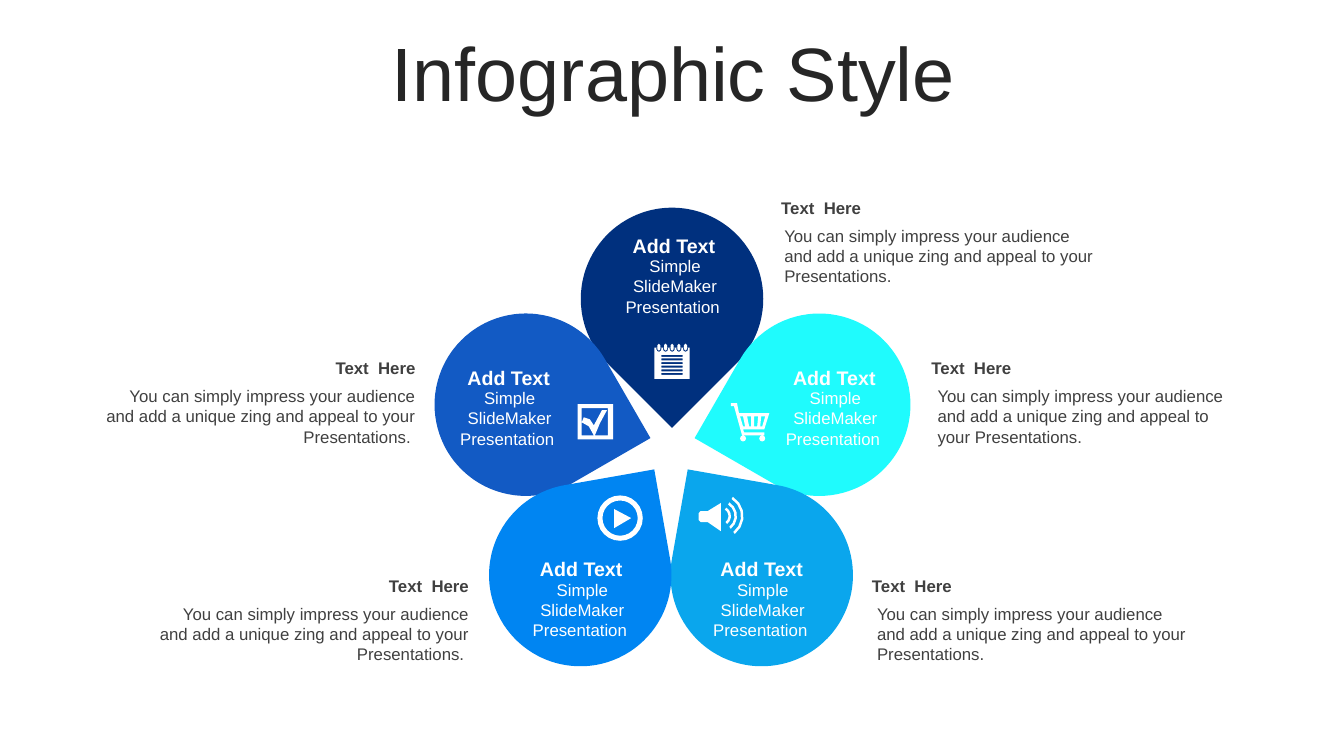
import math

from pptx import Presentation
from pptx.dml.color import RGBColor
from pptx.enum import shapes, text
from pptx.util import Inches, Pt

COLORS = {
    "title": "262626", "body": "404040", "white": "FFFFFF",
    "navy": "00307E", "cyan": "1FFBFD", "sky": "0AA6ED",
    "royal": "125AC4", "azure": "0085F2",
}
FONT = "Arial"
LEFT, CENTER, RIGHT = text.PP_ALIGN.LEFT, text.PP_ALIGN.CENTER, text.PP_ALIGN.RIGHT
PETAL_SIZE = 1.81

# Petal left, top, rotation, colour; then label left, top
PETALS = [
    (5.76, 2.06, 135, "navy", 5.98, 2.27),
    (7.22, 3.11, 210, "cyan", 7.57, 3.58),
    (6.65, 4.80, 280, "sky", 6.85, 5.48),
    (4.31, 3.11, 60, "royal", 4.34, 3.58),
    (4.85, 4.80, 350, "azure", 5.06, 5.48),
]

# Heading left, top, width; then body left, width, alignment
CALLOUTS = [
    (7.65, 1.91, 3.36, 7.68, 3.31, LEFT),
    (9.14, 3.50, 3.30, 9.20, 3.25, LEFT),
    (8.55, 5.66, 3.33, 8.60, 3.28, LEFT),
    (1.42, 5.66, 3.33, 1.47, 3.28, RIGHT),
    (0.89, 3.50, 3.33, 0.95, 3.27, RIGHT),
]
CALLOUT_TEXT = ("You can simply impress your audience and add a unique zing "
                "and appeal to your Presentations. ")


def color(name):
    return RGBColor.from_string(COLORS[name])


def add_run(paragraph, words, size, color_name, bold=False):
    run = paragraph.add_run()
    run.text = words
    run.font.name = FONT
    run.font.size = Pt(size)
    run.font.bold = bold
    run.font.color.rgb = color(color_name)


def add_text(slide, box, words, size, color_name, alignment, bold=False):
    frame = slide.shapes.add_textbox(*map(Inches, box)).text_frame
    frame.word_wrap = True
    frame.auto_size = text.MSO_AUTO_SIZE.SHAPE_TO_FIT_TEXT
    paragraph = frame.paragraphs[0]
    paragraph.alignment = alignment
    add_run(paragraph, words, size, color_name, bold)


def paint(shape, color_name):
    shape.fill.solid()
    shape.fill.fore_color.rgb = color(color_name)
    shape.line.fill.background()
    shape.shadow.inherit = False


def add_title(slide, words):
    title = slide.shapes.title
    title.left, title.top, title.width, title.height = map(Inches, (0.35, 0.37, 12.66, 0.79))
    frame = title.text_frame
    frame.word_wrap = True
    frame.auto_size = text.MSO_AUTO_SIZE.NONE
    frame.vertical_anchor = text.MSO_ANCHOR.MIDDLE
    paragraph = frame.paragraphs[0]
    paragraph.alignment = CENTER
    paragraph.line_spacing = 0.9
    add_run(paragraph, words, 54, "title")


def add_callout(slide, left, top, width, body_left, body_width, alignment):
    add_text(slide, (body_left, top + 0.28, body_width, 0.71),
             CALLOUT_TEXT, 12, "body", alignment)
    add_text(slide, (left, top, width, 0.3), "Text  Here", 12, "body", alignment, True)


def add_petal(slide, left, top, rotation, color_name):
    petal = slide.shapes.add_shape(
        shapes.MSO_SHAPE.TEAR, *map(Inches, (left, top, PETAL_SIZE, PETAL_SIZE)))
    petal.rotation = rotation
    paint(petal, color_name)


def add_petal_label(slide, left, top):
    add_text(slide, (left, top, 1.41, 0.34), "Add Text", 14, "white", CENTER, True)
    add_text(slide, (left + 0.01, top + 0.22, 1.41, 0.71),
             "Simple SlideMaker Presentation ", 12, "white", CENTER)


# Outlines for the icons; an outline inside another one cuts a hole
def arc(x, y, radius, start, end, steps):
    angles = [math.radians(start + (end - start) * i / steps) for i in range(steps + 1)]
    return [(x + radius * math.cos(a), y + radius * math.sin(a)) for a in angles]


def circle(x, y, radius, steps):
    return arc(x, y, radius, 0, 360, steps)[:-1]


def rectangle(left, top, right, bottom):
    return [(left, top), (right, top), (right, bottom), (left, bottom)]


def add_icon(slide, outlines):
    outlines = [[(Inches(x), Inches(y)) for x, y in outline] for outline in outlines]
    builder = slide.shapes.build_freeform(*outlines[0][0], scale=1.0)
    for index, (start, *points) in enumerate(outlines):
        if index:
            builder.move_to(*start)
        builder.add_line_segments(points, close=True)
    paint(builder.convert_to_shape(), "white")


def notepad():
    outlines = [rectangle(6.49, 3.45, 6.84, 3.76)]
    for row in range(6):
        top = 3.52 + 0.036 * row
        outlines.append(rectangle(6.56, top, 6.77, top + 0.02))
    for ring in range(5):
        x = 6.535 + 0.066 * ring
        outlines.append([(x + 0.025, 3.45), *arc(x, 3.465, 0.025, 0, 180, 4), (x - 0.025, 3.45)])
        outlines.append(arc(x, 3.465, 0.015, 0, 180, 2) + arc(x, 3.425, 0.015, 180, 360, 2))
    return outlines


def checkbox():
    tick = [(5.77, 4.19), (5.79, 4.14), (5.85, 4.16), (5.89, 4.22), (5.97, 4.07),
            (6.02, 4.07), (5.95, 4.2), (5.9, 4.32), (5.89, 4.32), (5.84, 4.23)]
    return [rectangle(5.73, 4.01, 6.08, 4.36), rectangle(5.77, 4.05, 6.03, 4.32), tick]


def cart():
    frame = [(7.25, 4), (7.31, 4), (7.33, 4.1), (7.63, 4.1), (7.58, 4.26), (7.37, 4.26),
             (7.38, 4.29), (7.58, 4.29), (7.58, 4.32), (7.36, 4.32), (7.28, 4.03), (7.25, 4.03)]
    # Top left, top right, bottom right, bottom left of each slot
    slots = [(7.34, 7.37, 7.39, 7.37), (7.41, 7.45, 7.45, 7.43),
             (7.48, 7.52, 7.51, 7.48), (7.55, 7.59, 7.56, 7.54)]
    wheels = [circle(x, 4.35, 0.03, 8) for x in (7.37, 7.56)]
    return [frame, *[list(zip(slot, (4.13, 4.13, 4.23, 4.23))) for slot in slots], *wheels]


def speaker():
    horn = [(7.15, 4.99), (7.15, 5.27), (7.02, 5.18), (6.95, 5.18), (6.93, 5.16),
            (6.93, 5.09), (6.95, 5.07), (7.02, 5.07)]
    waves = [arc(7.15, 5.12, radius, -58, 52, 5) + arc(7.15, 5.12, radius - 0.025, 52, -58, 5)
             for radius in (0.1, 0.16, 0.225)]
    return [horn, *waves]


def play_button():
    return [circle(6.15, 5.14, 0.225, 24), circle(6.15, 5.14, 0.175, 24),
            [(6.09, 5.05), (6.26, 5.14), (6.09, 5.24)]]


def main():
    presentation = Presentation()
    presentation.slide_width = Inches(13.33)
    presentation.slide_height = Inches(7.5)
    slide = presentation.slides.add_slide(presentation.slide_layouts[5])

    add_title(slide, "Infographic Style")
    for callout in CALLOUTS:
        add_callout(slide, *callout)

    # Flower of five petals, with the labels above all petals
    for petal in PETALS:
        add_petal(slide, *petal[:4])
    for petal in PETALS:
        add_petal_label(slide, *petal[4:])
    for icon in (notepad, checkbox, cart, speaker, play_button):
        add_icon(slide, icon())

    presentation.save("out.pptx")


if __name__ == "__main__":
    main()
